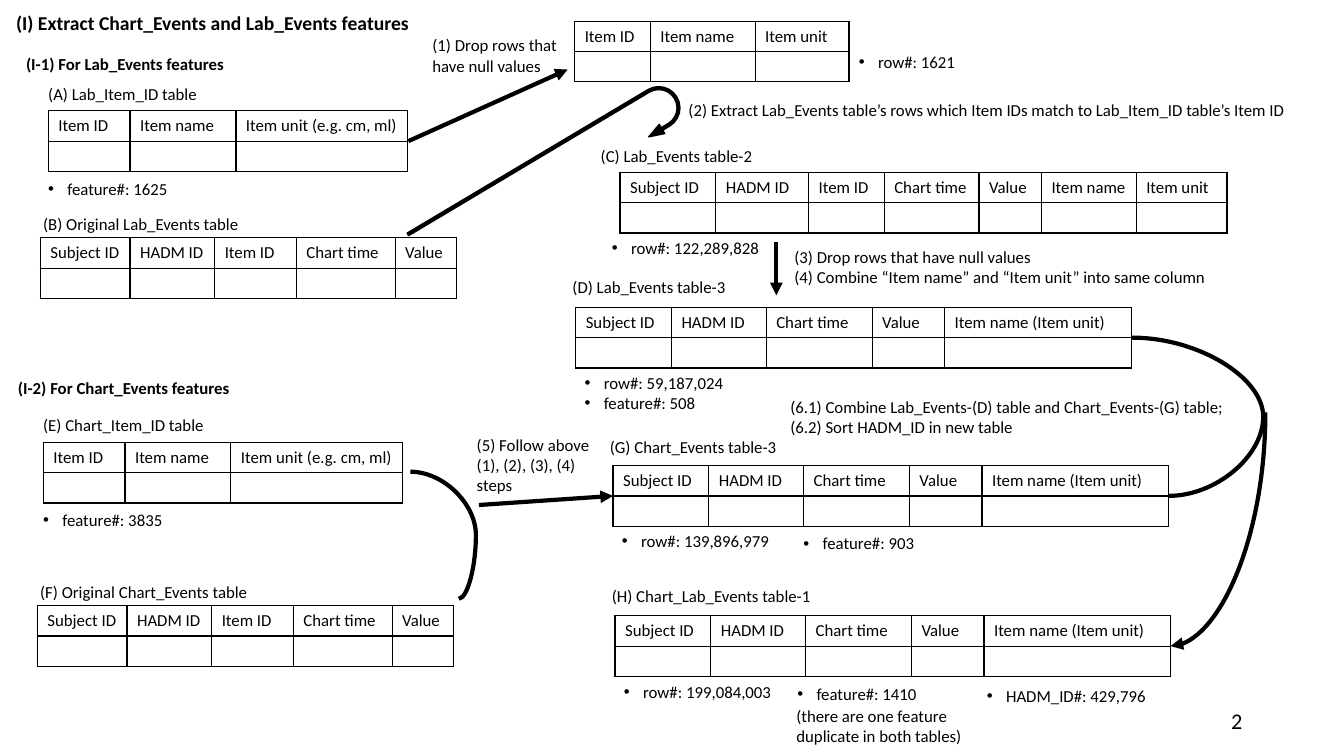
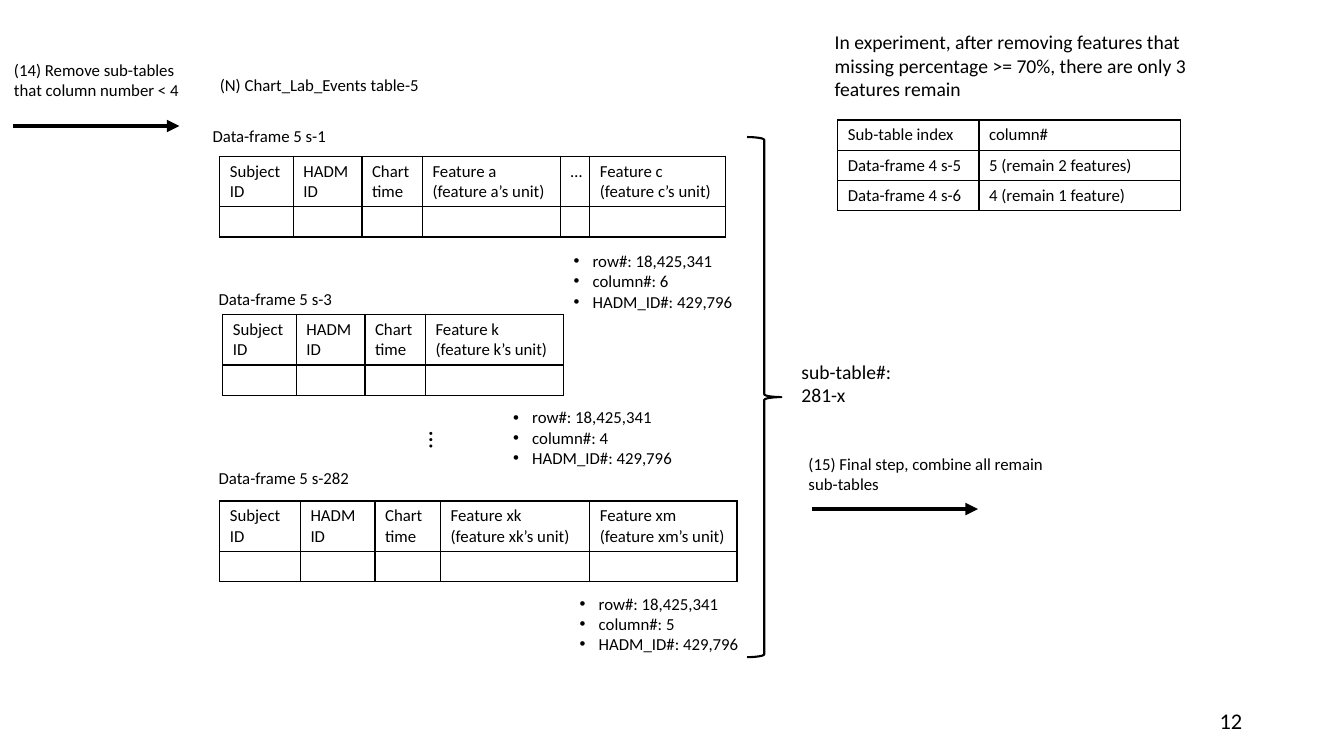
import pptx
import pptx.util
import pptx.dml.color
import pptx.enum.shapes
import pptx.enum.text
import pptx.oxml.ns
from lxml import etree

Inches, Pt = pptx.util.Inches, pptx.util.Pt
Shapes, Connectors = pptx.enum.shapes.MSO_SHAPE, pptx.enum.shapes.MSO_CONNECTOR
Align, Anchor = pptx.enum.text.PP_ALIGN, pptx.enum.text.MSO_ANCHOR
qn = pptx.oxml.ns.qn

COLORS = {"ink": "000000", "paper": "FFFFFF"}
FONT = "Calibri"
BODY, NOTE, NUMBER, DOTS = 12, 14, 16, 18
LINE_HEIGHT, CELL_PADDING, BULLET_INDENT = 0.2, 0.1, 0.19

ITEM_HEAD = ["Item ID", "Item name", "Item unit (e.g. cm, ml)"]
ITEM_WIDTHS = [0.81, 1.05, 1.7]
EVENT_HEAD = ["Subject ID", "HADM ID", "Item ID", "Chart time", "Value"]
EVENT_WIDTHS = [0.89, 0.84, 0.81, 0.98, 0.61]
MERGED_HEAD = ["Subject ID", "HADM ID", "Chart time", "Value", "Item name (Item unit)"]
MERGED_WIDTHS = [0.95, 0.94, 1.05, 0.72, 1.85]
FRAME_HEAD = ["Subject ID", "HADM ID", "Chart time"]
FRAME_WIDTHS = [0.73, 0.68, 0.6]
PATIENTS = "HADM_ID#: 429,796"

# Texts and bullets: left, top, width, height, text, optional size.
# Tables: left, top, column widths, rows. Arrows: from, to.
EXTRACTION = {
    "title": ((0.06, 0.06, 5.57, 0.34), "(I) Extract Chart_Events and Lab_Events features", NOTE, True),
    "number": "2",
    "headings": [
        (0.16, 0.48, 3.24, 0.3, "(I-1) For Lab_Events features"),
        (0.08, 3.7, 3.24, 0.3, "(I-2) For Chart_Events features"),
    ],
    "texts": [
        (0.38, 0.78, 3.24, 0.3, "(A) Lab_Item_ID table"),
        (0.33, 2.07, 3.24, 0.3, "(B) Original Lab_Events table"),
        (5.86, 1.4, 3.24, 0.3, "(C) Lab_Events table-2"),
        (5.58, 2.7, 3.24, 0.3, "(D) Lab_Events table-3"),
        (0.33, 4.07, 3.24, 0.3, "(E) Chart_Item_ID table"),
        (0.3, 5.72, 3.24, 0.3, "(F) Original Chart_Events table"),
        (5.95, 4.28, 3.24, 0.3, "(G) Chart_Events table-3"),
        (5.97, 5.76, 3.24, 0.3, "(H) Chart_Lab_Events table-1"),
        (4.19, 0.3, 1.48, 0.5, "(1) Drop rows that have null values"),
        (6.73, 0.94, 6.4, 0.3,
         "(2) Extract Lab_Events table’s rows which Item IDs match to Lab_Item_ID table’s Item ID"),
        (7.78, 2.4, 4.31, 0.5,
         "(3) Drop rows that have null values\n"
         "(4) Combine “Item name” and “Item unit” into same column"),
        (4.63, 4.26, 1.35, 0.71, "(5) Follow above (1), (2), (3), (4) steps"),
        (7.74, 3.89, 4.61, 0.5,
         "(6.1) Combine Lab_Events-(D) table and Chart_Events-(G) table;\n"
         "(6.2) Sort HADM_ID in new table"),
        (7.8, 6.95, 2.04, 0.5, "(there are one feature duplicate in both tables)"),
    ],
    "bullets": [
        (0.38, 1.72, 1.4, 0.3, "feature#: 1625"),
        (8.42, 0.46, 1.2, 0.3, "row#: 1621"),
        (5.97, 2.31, 1.68, 0.3, "row#: 122,289,828"),
        (5.7, 3.65, 1.86, 0.5, "row#: 59,187,024\nfeature#: 508"),
        (0.33, 5.01, 1.7, 0.3, "feature#: 3835"),
        (6.07, 5.22, 1.7, 0.3, "row#: 139,896,979"),
        (7.87, 5.24, 1.78, 0.3, "feature#: 903"),
        (6.09, 6.71, 1.68, 0.3, "row#: 199,084,003"),
        (7.81, 6.73, 1.78, 0.3, "feature#: 1410"),
        (9.69, 6.75, 1.92, 0.5, PATIENTS),
    ],
    "tables": [
        (0.48, 1.1, ITEM_WIDTHS, [ITEM_HEAD, []]),
        (0.4, 2.36, EVENT_WIDTHS, [EVENT_HEAD, []]),
        (5.7, 0.21, [0.75, 1.04, 0.93], [["Item ID", "Item name", "Item unit"], []]),
        (6.15, 1.71, [0.95, 0.92, 0.75, 0.94, 0.62, 0.94, 0.9],
         [EVENT_HEAD + ["Item name", "Item unit"], []]),
        (5.71, 3.05, MERGED_WIDTHS, [MERGED_HEAD, []]),
        (0.43, 4.39, ITEM_WIDTHS, [ITEM_HEAD, []]),
        (0.37, 6.01, EVENT_WIDTHS, [EVENT_HEAD, []]),
        (6.08, 4.62, MERGED_WIDTHS, [MERGED_HEAD, []]),
        (6.1, 6.11, MERGED_WIDTHS, [MERGED_HEAD, []]),
    ],
    "arrows": [
        ((4.05, 1.4), (5.63, 0.69)),
        ((7.7, 2.4), (7.7, 2.93)),
        ((4.75, 5.01), (6.08, 4.92)),
    ],
}

REDUCTION = {
    "title": ((2.08, 0.69, 2.33, 0.3), "(N) Chart_Lab_Events table-5", BODY, False),
    "number": "12",
    "headings": [],
    "texts": [
        (0.04, 0.54, 1.99, 0.5, "(14) Remove sub-tables that column number < 4"),
        (2.01, 1.2, 2.09, 0.3, "Data-frame 5 s-1"),
        (2.07, 2.82, 2.09, 0.3, "Data-frame 5 s-3"),
        (2.07, 4.59, 2.09, 0.3, "Data-frame 5 s-282"),
        (7.85, 3.52, 1.39, 0.57, "sub-table#: 281-x", NOTE),
        (8.18, 0.25, 3.86, 0.81,
         "In experiment, after removing features that missing percentage >= 70%, "
         "there are only 3 features remain", NOTE),
        (7.92, 4.45, 2.65, 0.5, "(15) Final step, combine all remain sub-tables"),
    ],
    "bullets": [
        (left, top, width, 0.91, f"row#: 18,425,341\ncolumn#: {columns}\n{PATIENTS}")
        for left, top, width, columns in [(5.59, 2.44, 1.93, 6), (4.99, 3.99, 1.79, 4), (5.65, 5.84, 1.93, 5)]
    ],
    "tables": [
        (2.18, 1.55, FRAME_WIDTHS + [1.37, 0.29, 1.35],
         [FRAME_HEAD + ["Feature a\n(feature a’s unit)", "…", "Feature c\n(feature c’s unit)"], []]),
        (2.21, 3.12, FRAME_WIDTHS + [1.37], [FRAME_HEAD + ["Feature k\n(feature k’s unit)"], []]),
        (2.18, 4.97, [0.8, 0.74, 0.65, 1.48, 1.46],
         [FRAME_HEAD + ["Feature xk\n(feature xk’s unit)", "Feature xm\n(feature xm’s unit)"], []]),
        (8.31, 1.19, [1.4, 2],
         [["Sub-table index", "column#"],
          ["Data-frame 4 s-5", "5 (remain 2 features)"],
          ["Data-frame 4 s-6", "4 (remain 1 feature)"]]),
    ],
    "arrows": [((0.13, 1.25), (1.78, 1.25)), ((8.05, 5.05), (9.7, 5.05))],
}


def color(name):
    return pptx.dml.color.RGBColor.from_string(COLORS[name])


def place(shape, left, top, width, height):
    shape.left, shape.top = Inches(left), Inches(top)
    shape.width, shape.height = Inches(width), Inches(height)


def write(frame, text, size=BODY, bold=False, bullet=False, align=Align.LEFT):
    """Fill a text frame, one paragraph for each line of the text."""
    frame.word_wrap = True
    for index, line in enumerate(text.split("\n")):
        para = frame.add_paragraph() if index else frame.paragraphs[0]
        para.alignment = align
        if bullet:
            settings = para._p.get_or_add_pPr()
            settings.set("marL", str(Inches(BULLET_INDENT)))
            settings.set("indent", str(-Inches(BULLET_INDENT)))
            etree.SubElement(settings, qn("a:buFont"), typeface="Arial")
            etree.SubElement(settings, qn("a:buChar"), char="•")
        if not line:
            etree.SubElement(para._p, qn("a:endParaRPr"), sz=str(size * 100))
            continue
        span = para.add_run()
        span.text = line
        span.font.name, span.font.size, span.font.bold = FONT, Pt(size), bold
        span.font.color.rgb = color("ink")


def add_text(page, left, top, width, height, text, size=BODY, **style):
    box = page.shapes.add_textbox(*map(Inches, (left, top, width, height)))
    write(box.text_frame, text, size, **style)
    return box


def border(cell):
    settings = cell._tc.get_or_add_tcPr()
    for side in ("lnL", "lnR", "lnT", "lnB"):
        edge = etree.SubElement(settings, qn("a:" + side), w=str(Pt(1)))
        fill = etree.SubElement(edge, qn("a:solidFill"))
        etree.SubElement(fill, qn("a:srgbClr"), val=COLORS["ink"])


def add_grid(page, left, top, widths, rows):
    """Add a bordered table; an empty row list stands for blank cells."""
    # Row height follows the tallest cell; names in the frame heads wrap at the space.
    two_lines = any("\n" in text for text in rows[0])
    heights = [LINE_HEIGHT * (2 if two_lines and not index else 1) + CELL_PADDING for index in range(len(rows))]
    frame = page.shapes.add_table(len(rows), len(widths), Inches(left), Inches(top),
                                  Inches(sum(widths)), Inches(sum(heights)))
    grid = frame.table
    grid.first_row = grid.horz_banding = False
    for column, width in zip(grid.columns, widths):
        column.width = Inches(width)
    for row, height, texts in zip(grid.rows, heights, rows):
        row.height = Inches(height)
        for cell, text in zip(row.cells, texts or [""] * len(widths)):
            border(cell)
            cell.fill.background()
            write(cell.text_frame, text)


def add_line(page, start, end, kind=Connectors.STRAIGHT, arrow=True):
    line = page.shapes.add_connector(kind, *map(Inches, start + end))
    line.line.color.rgb = color("ink")
    line.line.width = Pt(3)
    if arrow:
        etree.SubElement(line.line._get_or_add_ln(), qn("a:tailEnd"), type="triangle")
    etree.SubElement(line._element.spPr, qn("a:effectLst"))
    return line


def add_bulge(page, start, end, bend):
    """Add a curve that swings out to the given share of its width."""
    curve = add_line(page, start, end, Connectors.CURVE, arrow=False)
    geometry = curve._element.spPr.find(qn("a:prstGeom"))
    guides = geometry.find(qn("a:avLst"))
    if guides is None:
        guides = etree.SubElement(geometry, qn("a:avLst"))
    etree.SubElement(guides, qn("a:gd"), name="adj1", fmla=f"val {round(bend * 100000)}")


def add_quarter_curve(page, start, end):
    """Add an arrow that leaves start downwards and reaches end from the right."""
    middle_x, middle_y = (start[0] + end[0]) / 2, (start[1] + end[1]) / 2
    half_length, half_depth = (end[1] - start[1]) / 2, (start[0] - end[0]) / 2
    curve = add_line(page, (middle_x - half_length, middle_y - half_depth),
                     (middle_x + half_length, middle_y + half_depth), Connectors.CURVE)
    properties = curve._element.spPr
    properties.find(qn("a:prstGeom")).set("prst", "curvedConnector2")
    properties.find(qn("a:xfrm")).set("rot", str(90 * 60000))


def add_outline(page, kind, left, top, width, height, weight):
    shape = page.shapes.add_shape(kind, *map(Inches, (left, top, width, height)))
    shape.shadow.inherit = False
    shape.fill.background()
    shape.line.color.rgb = color("ink")
    shape.line.width = Pt(weight)
    return shape


def add_page(deck, content):
    page = deck.slides.add_slide(deck.slide_layouts[5])
    page.background.fill.solid()
    page.background.fill.fore_color.rgb = color("paper")
    position, text, size, bold = content["title"]
    title = page.shapes.title
    place(title, *position)
    title.text_frame.vertical_anchor = Anchor.TOP
    write(title.text_frame, text, size, bold)
    for heading in content["headings"]:
        add_text(page, *heading, bold=True)
    for label in content["texts"]:
        add_text(page, *label)
    for bullet in content["bullets"]:
        add_text(page, *bullet, bullet=True)
    for grid in content["tables"]:
        add_grid(page, *grid)
    for start, end in content["arrows"]:
        add_line(page, start, end)
    number = add_text(page, 9.42, 6.95, 3, 0.4, content["number"], NUMBER, align=Align.RIGHT)
    number.text_frame.vertical_anchor = Anchor.MIDDLE
    return page


def main():
    deck = pptx.Presentation()
    deck.slide_width, deck.slide_height = Inches(13.33), Inches(7.5)

    page = add_page(deck, EXTRACTION)
    turn = add_outline(page, Shapes.U_TURN_ARROW, 5.21, 0.25, 0.46, 2.99, 1)
    turn.rotation = 59.2
    turn.fill.solid()
    turn.fill.fore_color.rgb = color("ink")
    for index, value in enumerate([0.064, 0.115, 0.333, 0.457, 0.148]):
        turn.adjustments[index] = value
    add_bulge(page, (4.07, 4.68), (4.55, 5.94), 1.355)
    add_bulge(page, (11.23, 3.35), (11.59, 4.92), 3.611)
    add_quarter_curve(page, (12.55, 4.09), (11.61, 6.41))

    page = add_page(deck, REDUCTION)
    add_outline(page, Shapes.RIGHT_BRACE, 7.41, 1.36, 0.34, 5.16, 1.5)
    dots = add_text(page, 4.19, 4.15, 0.34, 0.4, "…", DOTS)
    dots.rotation = 90

    deck.save("out.pptx")


if __name__ == "__main__":
    main()
